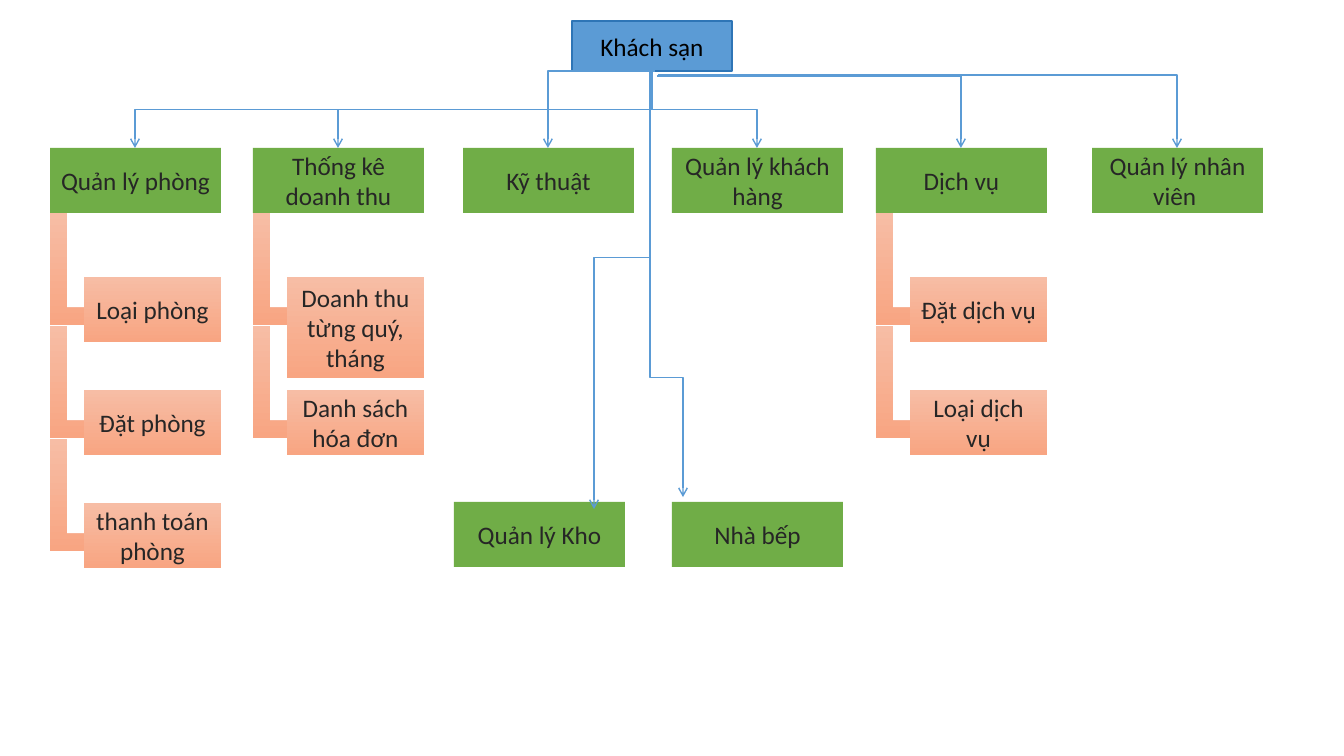
from lxml import etree
from pptx import Presentation
from pptx.dml.color import RGBColor
from pptx.enum.shapes import MSO_CONNECTOR, MSO_SHAPE
from pptx.enum.text import MSO_ANCHOR, PP_ALIGN
from pptx.oxml.ns import qn
from pptx.util import Pt

RECTANGLE, CORNER = MSO_SHAPE.RECTANGLE, MSO_SHAPE.CORNER
ELBOW = MSO_CONNECTOR.ELBOW
CENTER, MIDDLE = PP_ALIGN.CENTER, MSO_ANCHOR.MIDDLE

BLACK = RGBColor(0x00, 0x00, 0x00)
DARK_GREY = RGBColor(0x26, 0x26, 0x26)
BLUE = RGBColor(0x5B, 0x9B, 0xD5)
DARK_BLUE = RGBColor(0x2E, 0x75, 0xB6)
GREEN = RGBColor(0x70, 0xAD, 0x47)
PEACH = (RGBColor(0xF7, 0xBD, 0xA5), RGBColor(0xF8, 0xA5, 0x82))

SLIDE_WIDTH, SLIDE_HEIGHT = 1344, 756
EMU_PER_PX = 12192000 / SLIDE_WIDTH

BOX_WIDTH, BOX_HEIGHT = 171, 65
DEPARTMENT_TOP, LOWER_TOP = 148, 502
INDENT, ITEM_TOP, ITEM_STEP, ITEM_WIDTH = 34, 277, 113, 137
ELBOW_HEIGHT = 112
TRUNK = (652, 71)

# Left edge, name, and (item, height) pairs of each department
DEPARTMENTS = [
    (50, "Quản lý phòng", [("Loại phòng", BOX_HEIGHT), ("Đặt phòng", BOX_HEIGHT),
                           ("thanh toán phòng", BOX_HEIGHT)]),
    (253, "Thống kê doanh thu", [("Doanh thu từng quý, tháng", 101),
                                 ("Danh sách hóa đơn", BOX_HEIGHT)]),
    (463, "Kỹ thuật", []),
    (672, "Quản lý khách hàng", []),
    (876, "Dịch vụ", [("Đặt dịch vụ", BOX_HEIGHT), ("Loại dịch vụ", BOX_HEIGHT)]),
    (1092, "Quản lý nhân viên ", []),
]
LOWER_DEPARTMENTS = [(454, "Quản lý Kho"), (672, "Nhà bếp")]

# Departments reached by a line that runs sideways first, with its start
SIDEWAYS_STARTS = {463: (655, 71), 876: (657, 76), 1092: (658, 75)}
# Start, end and position of the bend as a share of the height
LOWER_LINES = [((650, 64), (594, 509), 0.435), ((650, 66), (683, 497), 0.722)]


def px(length):
    return round(length * EMU_PER_PX)


class ChartSlide:
    """Draws the elements of the organisation chart on one slide."""

    font = {"name": "Calibri", "size": Pt(18)}
    line_width = Pt(1)

    def __init__(self, presentation):
        self.slide = presentation.slides.add_slide(presentation.slide_layouts[6])

    def shape(self, kind, left, top, width, height, fill, outline=None):
        """Adds a shape; a pair of colours as fill gives a downward gradient."""
        shape = self.slide.shapes.add_shape(kind, px(left), px(top), px(width), px(height))
        shape.shadow.inherit = False
        if isinstance(fill, RGBColor):
            shape.fill.solid()
            shape.fill.fore_color.rgb = fill
        else:
            shape.fill.gradient()
            shape.fill.gradient_angle = 270
            for stop, color in zip(shape.fill.gradient_stops, fill):
                stop.color.rgb = color
        if outline:
            shape.line.color.rgb = outline
            shape.line.width = self.line_width
        else:
            shape.line.fill.background()
        return shape

    def box(self, text, left, top, width, height, fill, color=DARK_GREY, outline=None):
        frame = self.shape(RECTANGLE, left, top, width, height, fill, outline).text_frame
        frame.word_wrap = True
        frame.vertical_anchor = MIDDLE
        paragraph = frame.paragraphs[0]
        paragraph.alignment = CENTER
        run = paragraph.add_run()
        run.text = text
        for name, value in self.font.items():
            setattr(run.font, name, value)
        run.font.color.rgb = color

    def arrow(self, start, end):
        connector = self.slide.shapes.add_connector(
            ELBOW, *(px(value) for value in (*start, *end)))
        connector.line.color.rgb = BLUE
        connector.line.width = self.line_width
        properties = connector._element.spPr
        etree.SubElement(properties.find(qn("a:ln")), qn("a:tailEnd"), type="arrow")
        etree.SubElement(properties, qn("a:effectLst"))
        return properties

    def sideways_arrow(self, start, end):
        """Runs sideways, then down, with one bend."""
        self.arrow(start, end).find(qn("a:prstGeom")).set("prst", "bentConnector2")

    def downward_arrow(self, start, end, bend=0.5):
        """Runs down, sideways and down: an elbow turned by 90 degrees about its centre."""
        (x1, y1), (x2, y2) = start, end
        center_x, center_y = (x1 + x2) / 2, (y1 + y2) / 2
        half_width, half_height = (x2 - x1) / 2, (y2 - y1) / 2
        properties = self.arrow((center_x - half_height, center_y + half_width),
                                (center_x + half_height, center_y - half_width))
        properties.find(qn("a:xfrm")).set("rot", "5400000")
        adjustments = properties.find(qn("a:prstGeom")).find(qn("a:avLst"))
        etree.SubElement(adjustments, qn("a:gd"), name="adj1", fmla=f"val {round(bend * 100000)}")


def main():
    presentation = Presentation()
    presentation.slide_width = px(SLIDE_WIDTH)
    presentation.slide_height = px(SLIDE_HEIGHT)
    chart = ChartSlide(presentation)

    chart.box("Khách sạn", 572, 21, 160, 50, BLUE, BLACK, DARK_BLUE)
    for left, name, items in DEPARTMENTS:
        chart.box(name, left, DEPARTMENT_TOP, BOX_WIDTH, BOX_HEIGHT, GREEN)
        for row, (item, height) in enumerate(items):
            offset = row * ITEM_STEP
            elbow_top = DEPARTMENT_TOP + BOX_HEIGHT + offset
            chart.shape(CORNER, left, elbow_top, INDENT, ELBOW_HEIGHT, PEACH)
            chart.box(item, left + INDENT, ITEM_TOP + offset, ITEM_WIDTH, height, PEACH)
    for left, name in LOWER_DEPARTMENTS:
        chart.box(name, left, LOWER_TOP, BOX_WIDTH, BOX_HEIGHT, GREEN)

    for left, _, _ in DEPARTMENTS:
        end = (left + BOX_WIDTH // 2, DEPARTMENT_TOP)
        if left in SIDEWAYS_STARTS:
            chart.sideways_arrow(SIDEWAYS_STARTS[left], end)
        else:
            chart.downward_arrow(TRUNK, end)
    for start, end, bend in LOWER_LINES:
        chart.downward_arrow(start, end, bend)

    presentation.save("out.pptx")


if __name__ == "__main__":
    main()
